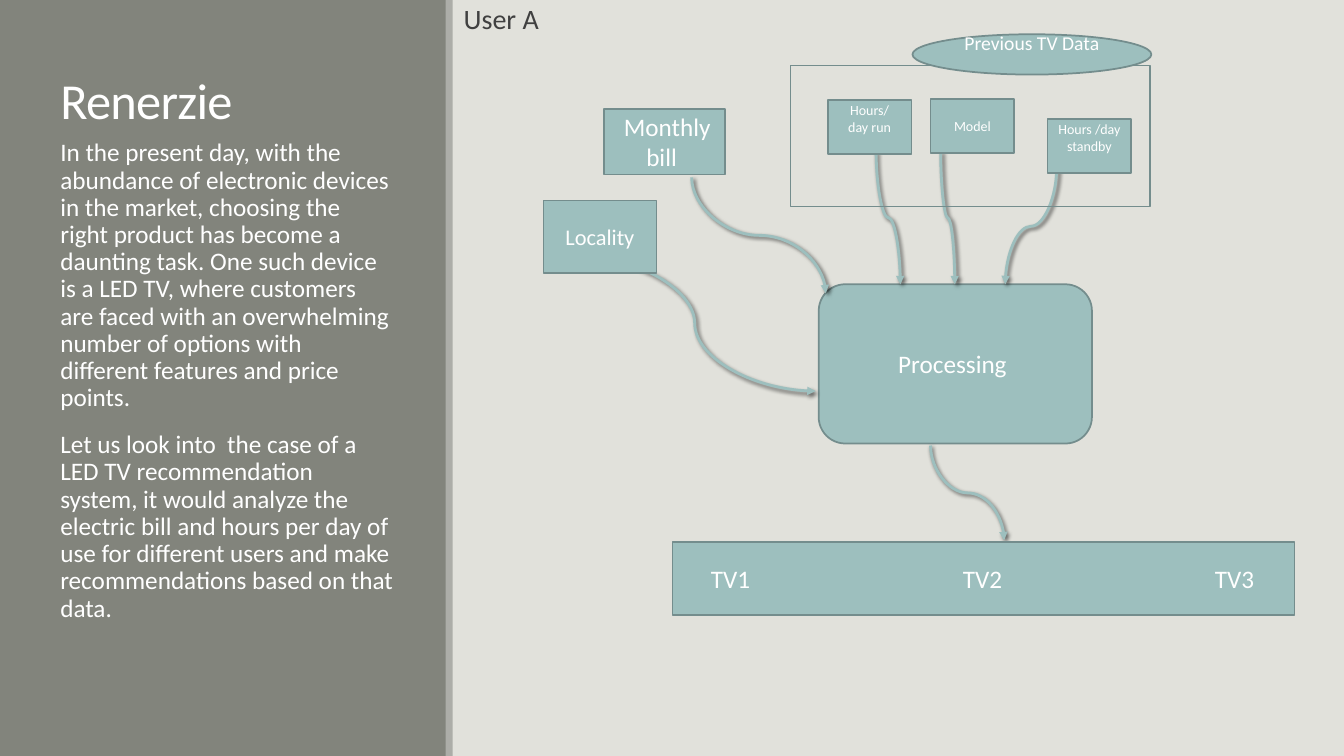
from dataclasses import dataclass

from lxml.etree import SubElement as Sub
from pptx import Presentation
from pptx.dml.color import RGBColor as RGB
from pptx.enum.shapes import MSO_CONNECTOR as Conn, MSO_SHAPE as Geo
from pptx.enum.text import MSO_ANCHOR as Anchor, PP_ALIGN as Align
from pptx.oxml.ns import qn
from pptx.util import Inches, Pt


@dataclass(frozen=True)
class Theme:
    font: str = "Calibri"
    back: str = "E1E1DB"
    panel: str = "82847C"
    strip: str = "ACADA8"
    teal: str = "9DBFBE"
    edge: str = "748D8D"
    white: str = "FFFFFF"
    dark: str = "404040"
    shade: str = "000000"
    title: int = 36
    head: int = 20
    body: int = 18
    label: int = 16
    note: int = 14
    small: int = 10
    rim: float = 1.25
    flow: float = 2


class Board:
    def __init__(self, slide, theme):
        self.slide = slide
        self.theme = theme
        fill = slide.background.fill
        fill.solid()
        fill.fore_color.rgb = RGB.from_string(theme.back)

    def fill_text(self, frame, paras, size, color, align=Align.LEFT,
                  anchor=Anchor.TOP, inset=(0.1, 0.05, 0.1, 0.05),
                  lead=None, gap=0, track=None, tabs=()):
        frame.word_wrap = True
        frame.vertical_anchor = anchor
        (frame.margin_left, frame.margin_top,
         frame.margin_right, frame.margin_bottom) = map(Inches, inset)
        for i, text in enumerate(paras):
            para = frame.paragraphs[0] if i == 0 else frame.add_paragraph()
            para.alignment = align
            if lead:
                para.line_spacing = lead
            if i:
                para.space_before = Pt(gap)
            if tabs:
                stops = Sub(para._p.get_or_add_pPr(), qn("a:tabLst"))
                for pos in tabs:
                    Sub(stops, qn("a:tab"), pos=str(Inches(pos)), algn="l")
            run = para.add_run()
            run.text = text
            run.font.name = self.theme.font
            run.font.size = Pt(size)
            run.font.color.rgb = RGB.from_string(color)
            if track:
                run._r.get_or_add_rPr().set("spc", str(track))

    def text(self, box, paras, size, color, **style):
        item = self.slide.shapes.add_textbox(*map(Inches, box))
        self.fill_text(item.text_frame, paras, size, color, **style)

    def shape(self, geo, box, fill=None, edge=None):
        item = self.slide.shapes.add_shape(geo, *map(Inches, box))
        item.shadow.inherit = False
        if fill:
            item.fill.solid()
            item.fill.fore_color.rgb = RGB.from_string(fill)
        else:
            item.fill.background()
        if edge:
            item.line.color.rgb = RGB.from_string(edge)
            item.line.width = Pt(self.theme.rim)
        else:
            item.line.fill.background()
        return item

    def node(self, geo, box, paras, size, align=Align.CENTER,
             anchor=Anchor.MIDDLE, **style):
        item = self.shape(geo, box, self.theme.teal, self.theme.edge)
        self.fill_text(item.text_frame, paras, size, self.theme.white,
                       align=align, anchor=anchor, **style)

    def curve(self, x1, y1, x2, y2, down=True):
        ends = (x1, y1, x2, y2)
        if down:
            mid_x, mid_y = (x1 + x2) / 2, (y1 + y2) / 2
            side = (y2 - y1) / 2 if x2 > x1 else (y1 - y2) / 2
            rise = abs(x2 - x1) / 2
            ends = (mid_x + side, mid_y - rise, mid_x - side, mid_y + rise)
        item = self.slide.shapes.add_connector(Conn.CURVE, *map(Inches, ends))
        props = item._element.spPr
        if down:
            turn = 270 if x2 > x1 else 90
            props.find(qn("a:xfrm")).set("rot", str(turn * 60000))
        item.line.color.rgb = RGB.from_string(self.theme.teal)
        item.line.width = Pt(self.theme.flow)
        Sub(props.find(qn("a:ln")), qn("a:tailEnd"), type="triangle")
        effect = Sub(props, qn("a:effectLst"))
        cast = Sub(effect, qn("a:outerShdw"), blurRad=str(Pt(3)),
                   dist=str(Pt(2)), dir=str(45 * 60000), rotWithShape="0")
        tint = Sub(cast, qn("a:srgbClr"), val=self.theme.shade)
        Sub(tint, qn("a:alpha"), val="60000")


def main():
    deck = Presentation()
    deck.slide_width, deck.slide_height = Inches(13.33), Inches(7.5)
    look = Theme()
    board = Board(deck.slides.add_slide(deck.slide_layouts[6]), look)

    board.shape(Geo.RECTANGLE, (0, 0, 4.43, 7.5), look.panel)
    board.shape(Geo.RECTANGLE, (4.42, 0, 0.07, 7.5), look.strip)
    board.text((0.5, 0.65, 3.5, 0.69), ["Renerzie"], look.title, look.white,
               anchor=Anchor.BOTTOM, lead=0.85, track=-50)
    board.text((4.5, 0, 8.83, 7.5), ["User A"], look.head, look.dark, lead=0.9)
    story = [
        "In the present day, with the abundance of electronic devices in the "
        "market, choosing the right product has become a daunting task. One "
        "such device is a LED TV, where customers are faced with an "
        "overwhelming number of options with different features and price "
        "points.",
        "Let us look into  the case of a LED TV recommendation system, it "
        "would analyze the electric bill and hours per day of use for "
        "different users and make recommendations based on that data.",
    ]
    board.text((0.5, 1.34, 3.5, 5.55), story, look.body, look.white,
               lead=0.9, gap=14)

    board.node(Geo.ROUNDED_RECTANGLE, (8.12, 2.82, 2.71, 1.58),
               ["Processing "], look.body)
    board.curve(5.69, 2.53, 8.09, 3.88, down=False)
    for ends in ((6.86, 1.76, 8.19, 2.91), (8.69, 1.5, 8.93, 2.82),
                 (9.33, 1.5, 9.47, 2.82), (10.48, 1.67, 9.97, 2.82),
                 (9.23, 4.42, 9.96, 5.36)):
        board.curve(*ends)

    step = Geo.FLOWCHART_PROCESS
    board.node(step, (5.39, 1.99, 1.12, 0.72), ["Locality"], look.label)
    board.node(step, (5.99, 1.08, 1.2, 0.65), [" Monthly bill "], look.body)
    high = {"anchor": Anchor.TOP, "inset": (0.1, 0.02, 0.1, 0)}
    for left, top, paras, style in (
            (8.21, 0.99, ["Hours/", "day run"], high),
            (9.23, 0.98, ["Model"], {}),
            (10.39, 1.18, ["Hours /day standby"], high)):
        board.node(step, (left, top, 0.83, 0.54), paras, look.small, **style)
    board.node(step, (6.67, 5.38, 6.17, 0.72), ["TV1\tTV2\tTV3"], look.body,
               align=Align.LEFT, inset=(0.38, 0.05, 0.1, 0.05), tabs=(2.5, 5))
    board.shape(Geo.RECTANGLE, (7.84, 0.65, 3.57, 1.4), edge=look.edge)
    board.node(Geo.OVAL, (9.05, 0.34, 2.37, 0.4), ["Previous TV Data"],
               look.note, inset=(0.1, 0, 0.1, 0.24))
    deck.save("out.pptx")


if __name__ == "__main__":
    main()
